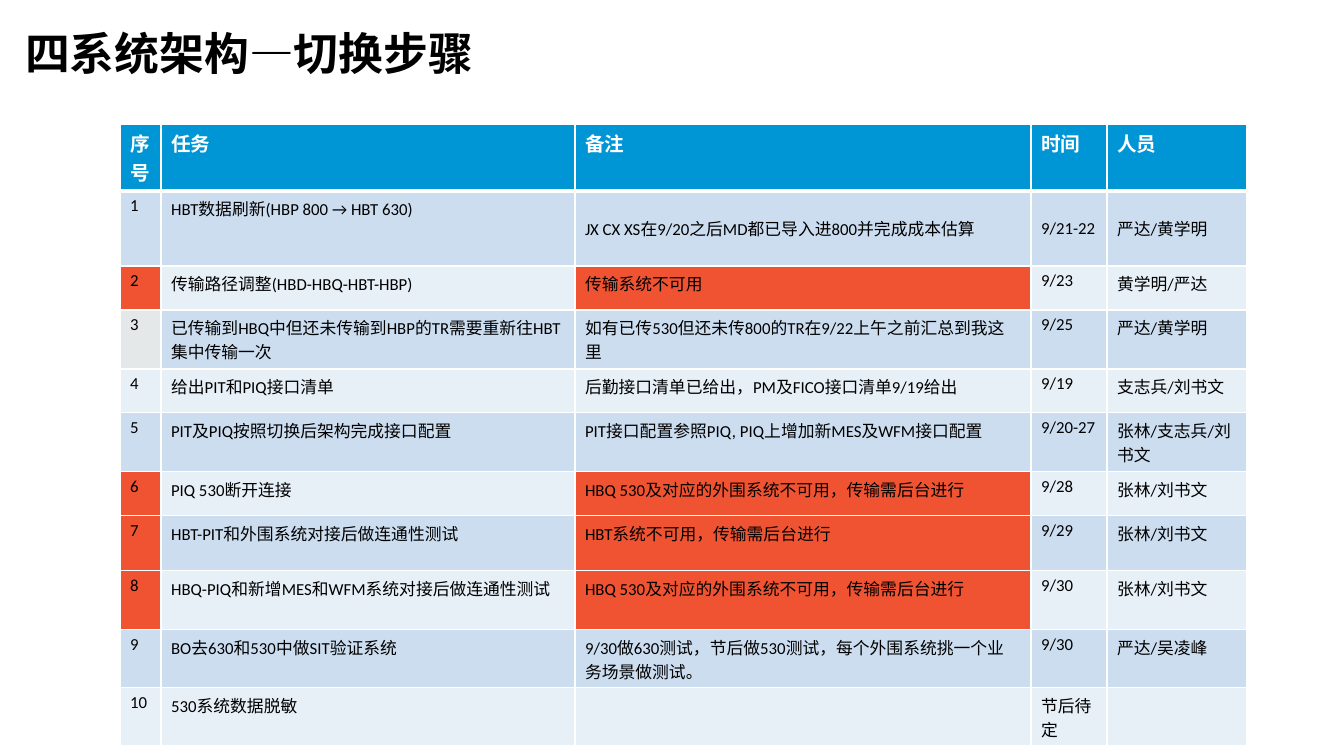
from dataclasses import dataclass
from lxml.etree import SubElement as Sub
from pptx import Presentation
from pptx.dml.color import RGBColor as RGB
from pptx.enum.text import MSO_ANCHOR as Anchor
from pptx.oxml.ns import qn
from pptx.util import Emu, Pt

SCALE = 914400 / 100.8


@dataclass(frozen=True)
class Theme:
    white: str = "FFFFFF"
    black: str = "000000"
    head: str = "0096D6"
    odd: str = "CCDDF0"
    even: str = "E7EFF7"
    alert: str = "F05332"
    grey: str = "E5E8E8"
    title_font: str = "Arial"
    body_font: str = "Calibri"
    title_size: int = 32
    head_size: int = 14
    body_size: int = 12
    line: float = 1
    rule: float = 3


THEME = Theme()

HEADS = ["序号", "任务", "备注", "时间", "人员"]
STEPS = [
    ("HBT数据刷新(HBP 800 → HBT 630)",
     "JX CX XS在9/20之后MD都已导入进800并完成成本估算", "9/21-22", "严达/黄学明"),
    ("传输路径调整(HBD-HBQ-HBT-HBP)", "传输系统不可用", "9/23", "黄学明/严达"),
    ("已传输到HBQ中但还未传输到HBP的TR需要重新往HBT集中传输一次",
     "如有已传530但还未传800的TR在9/22上午之前汇总到我这里", "9/25", "严达/黄学明"),
    ("给出PIT和PIQ接口清单",
     "后勤接口清单已给出，PM及FICO接口清单9/19给出", "9/19", "支志兵/刘书文"),
    ("PIT及PIQ按照切换后架构完成接口配置",
     "PIT接口配置参照PIQ, PIQ上增加新MES及WFM接口配置", "9/20-27", "张林/支志兵/刘书文"),
    ("PIQ 530断开连接",
     "HBQ 530及对应的外围系统不可用，传输需后台进行", "9/28", "张林/刘书文"),
    ("HBT-PIT和外围系统对接后做连通性测试",
     "HBT系统不可用，传输需后台进行", "9/29", "张林/刘书文"),
    ("HBQ-PIQ和新增MES和WFM系统对接后做连通性测试",
     "HBQ 530及对应的外围系统不可用，传输需后台进行", "9/30", "张林/刘书文"),
    ("BO去630和530中做SIT验证系统",
     "9/30做630测试，节后做530测试，每个外围系统挑一个业务场景做测试。", "9/30", "严达/吴凌峰"),
    ("530系统数据脱敏", "", "节后待定", ""),
]
COLS = [41, 414, 456, 76, 140]
ROWS = [67, 75, 44, 59, 44, 59, 44, 55, 59, 58, 58]
ALERTS = {2, 6, 7, 8}  # steps during which a system is down


def px(n):
    return Emu(round(n * SCALE))


def style(para, face, size, color, bold):
    font = para.font
    font.name, font.size, font.bold = face, Pt(size), bold
    font.color.rgb = RGB.from_string(color)


def border(cell, base):
    """Draw white cell edges; they must come before the fill."""
    props = cell._tc.get_or_add_tcPr()
    for side, width in zip("LRTB", (THEME.line,) * 3 + (base,)):
        edge = Sub(props, qn(f"a:ln{side}"), w=str(Pt(width)))
        fill = Sub(edge, qn("a:solidFill"))
        Sub(fill, qn("a:srgbClr"), val=THEME.white)


def shade(row, col):
    if row == 0:
        return THEME.head
    if row in ALERTS and col in (0, 2):
        return THEME.alert
    if (row, col) == (3, 0):
        return THEME.grey
    return THEME.odd if row % 2 else THEME.even


def add_title(slide, x, y, w, h):
    frame = slide.shapes.add_textbox(px(x), px(y), px(w), px(h)).text_frame
    frame.word_wrap = True
    frame.vertical_anchor = Anchor.MIDDLE
    frame.margin_left = frame.margin_right = 0
    frame.margin_top = frame.margin_bottom = 0
    para = frame.paragraphs[0]
    para.text = "四系统架构—切换步骤"
    style(para, THEME.title_font, THEME.title_size, THEME.black, True)


def add_steps(slide, x, y):
    data = [HEADS] + [(str(n), *step) for n, step in enumerate(STEPS, 1)]
    table = slide.shapes.add_table(
        len(ROWS), len(COLS), px(x), px(y), px(sum(COLS)), px(sum(ROWS))).table
    for col, wide in zip(table.columns, COLS):
        col.width = px(wide)
    for row, high in zip(table.rows, ROWS):
        row.height = px(high)
    for r, texts in enumerate(data):
        head = r == 0
        for c, text in enumerate(texts):
            cell = table.cell(r, c)
            border(cell, THEME.rule if head else THEME.line)
            cell.fill.solid()
            cell.fill.fore_color.rgb = RGB.from_string(shade(r, c))
            # The first step centres its notes, date and people
            cell.vertical_anchor = Anchor.MIDDLE if r == 1 and c > 1 else Anchor.TOP
            para = cell.text_frame.paragraphs[0]
            para.text = text
            style(para, THEME.body_font,
                  THEME.head_size if head else THEME.body_size,
                  THEME.white if head else THEME.black, head)


def main():
    deck = Presentation()
    deck.slide_width, deck.slide_height = px(1344), px(756)
    slide = deck.slides.add_slide(deck.slide_layouts[6])
    # Heading
    add_title(slide, 25, 26, 1244, 54)
    # Table of switch-over steps
    add_steps(slide, 120, 124)
    deck.save("out.pptx")


if __name__ == "__main__":
    main()
